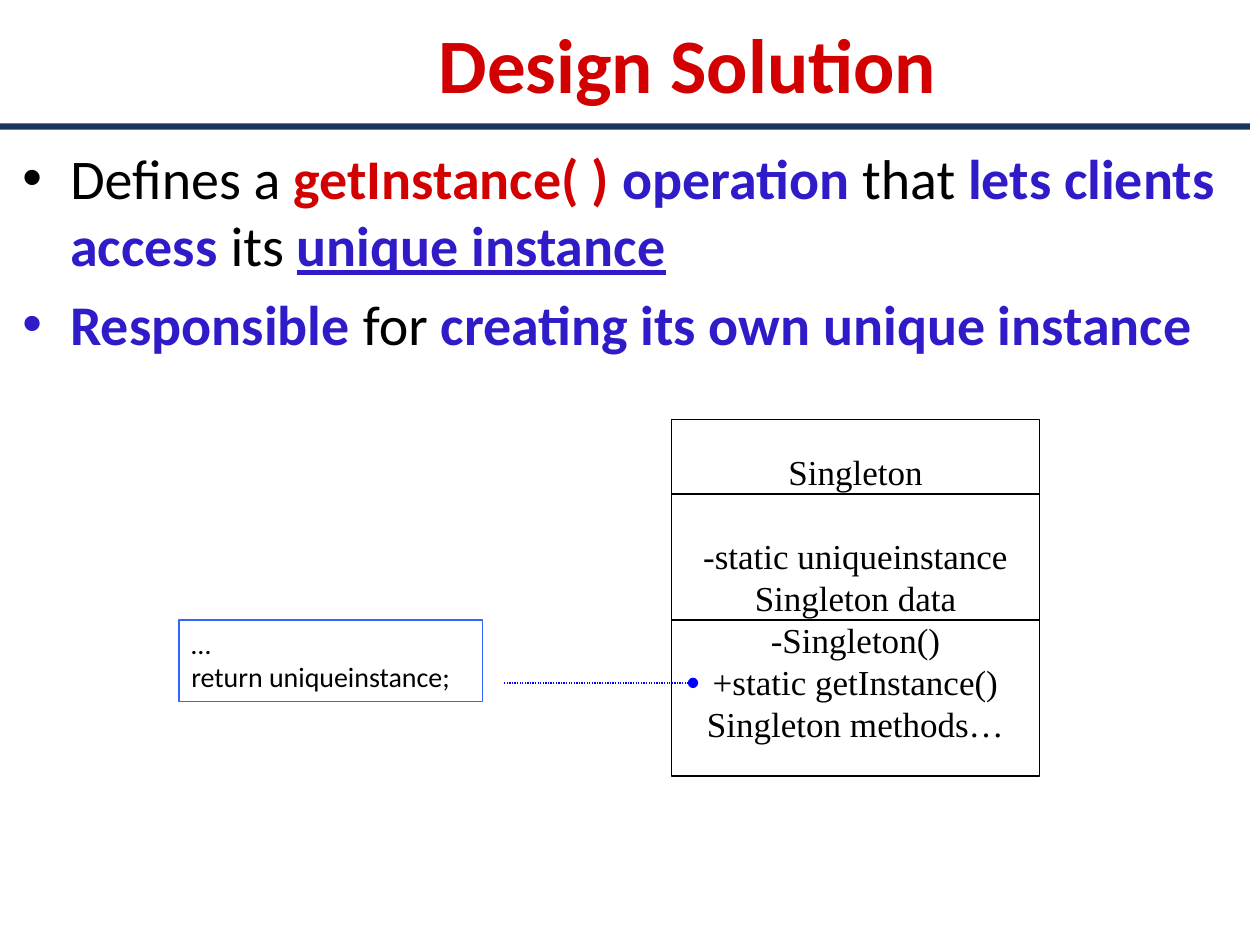
import pptx
import pptx.util
import pptx.dml.color
import pptx.enum.dml
import pptx.enum.shapes
import pptx.enum.text
import lxml.etree
from pptx.util import Inches

COLORS = {"black": "000000", "red": "D20000", "violet": "2F1BC7",
          "navy": "17375E", "note": "3366FF", "link": "0000FF"}
A = "{http://schemas.openxmlformats.org/drawingml/2006/main}"
ALIGN = pptx.enum.text.PP_ALIGN
ANCHOR = pptx.enum.text.MSO_ANCHOR
RECTANGLE = pptx.enum.shapes.MSO_SHAPE.RECTANGLE


def rgb(name):
    return pptx.dml.color.RGBColor.from_string(COLORS[name])


def add_run(paragraph, text, font, size, color="black", bold=False, underline=False):
    run = paragraph.add_run()
    run.text = text
    run.font.name = font
    run.font.size = pptx.util.Pt(size)
    run.font.color.rgb = rgb(color)
    run.font.bold = bold
    run.font.underline = underline


deck = pptx.Presentation()
deck.slide_width, deck.slide_height = Inches(10), Inches(7.5)
slide = deck.slides.add_slide(deck.slide_layouts[5])
shapes = slide.shapes

# Title
title = shapes.title
title.left, title.top = Inches(1), Inches(0.04)
title.width, title.height = Inches(8.92), Inches(0.91)
title.text_frame.vertical_anchor = ANCHOR.MIDDLE
heading = title.text_frame.paragraphs[0]
heading.alignment = ALIGN.CENTER
add_run(heading, "Design Solution", "Calibri", 44, "red", True)

# Bullets: text, colour, bold, underline
points = [
    [("Defines a ", "black", False, False),
     ("getInstance( ) ", "red", True, False),
     ("operation ", "violet", True, False),
     ("that ", "black", False, False),
     ("lets clients access", "violet", True, False),
     (" its ", "black", False, False),
     ("unique instance", "violet", True, True)],
    [("Responsible ", "violet", True, False),
     ("for ", "black", False, False),
     ("creating its own unique instance", "violet", True, False)],
]
body = shapes.add_textbox(Inches(0.08), Inches(1.09), Inches(9.83), Inches(6.17)).text_frame
body.word_wrap = True
for i, point in enumerate(points):
    paragraph = body.add_paragraph() if i else body.paragraphs[0]
    properties = paragraph._p.get_or_add_pPr()
    properties.set("marL", str(Inches(0.38)))
    properties.set("indent", str(-Inches(0.38)))
    lxml.etree.SubElement(properties, A + "buFont", typeface="Arial")
    lxml.etree.SubElement(properties, A + "buChar", char="•")
    if i:
        paragraph.space_before = pptx.util.Pt(6.4)
    for text, color, bold, underline in point:
        add_run(paragraph, text, "Calibri", 32, color, bold, underline)

# Class diagram box and code note: place, line, font, size, alignment, anchor, lines
class_lines = ["Singleton", "-static uniqueinstance", "Singleton data",
               "-Singleton()", "+static getInstance()", "Singleton methods…"]
boxes = [
    ((5.33, 3.33, 2.92, 2.83), "black", 1, "Times New Roman", 20,
     ALIGN.CENTER, ANCHOR.MIDDLE, class_lines),
    ((1.42, 4.92, 2.41, 0.65), "note", 0.75, "Calibri", 16,
     ALIGN.LEFT, ANCHOR.TOP, ["…", "return uniqueinstance;"]),
]
for place, color, weight, font, size, alignment, anchor, lines in boxes:
    box = shapes.add_shape(RECTANGLE, *map(Inches, place))
    box.shadow.inherit = False
    box.fill.background()
    box.line.color.rgb = rgb(color)
    box.line.width = pptx.util.Pt(weight)
    frame = box.text_frame
    frame.word_wrap = True
    frame.vertical_anchor = anchor
    for i, line in enumerate(lines):
        paragraph = frame.add_paragraph() if i else frame.paragraphs[0]
        paragraph.alignment = alignment
        if line == "-static uniqueinstance":
            paragraph.space_before = pptx.util.Pt(24)
        add_run(paragraph, line, font, size)

# Class compartment dividers and the dotted link to the note
links = [
    (5.33, 8.25, 3.92, "black", 1),
    (5.33, 8.25, 4.92, "black", 1),
    (5.5, 4, 5.42, "link", 0.75),
]
for start, end, y, color, weight in links:
    link = shapes.add_connector(pptx.enum.shapes.MSO_CONNECTOR.STRAIGHT,
                                Inches(start), Inches(y), Inches(end), Inches(y))
    link.line.color.rgb = rgb(color)
    link.line.width = pptx.util.Pt(weight)
    if color == "link":
        link.line.dash_style = pptx.enum.dml.MSO_LINE.ROUND_DOT
        lxml.etree.SubElement(link.line._get_or_add_ln(), A + "headEnd", type="oval")
    lxml.etree.SubElement(link._element.spPr, A + "effectLst")

# Rule under the title
rule = shapes.add_shape(RECTANGLE, Inches(0), Inches(0.98), Inches(9.92), Inches(0.05))
rule.shadow.inherit = False
rule.fill.solid()
rule.fill.fore_color.rgb = rgb("navy")
rule.line.fill.background()

deck.save("out.pptx")
